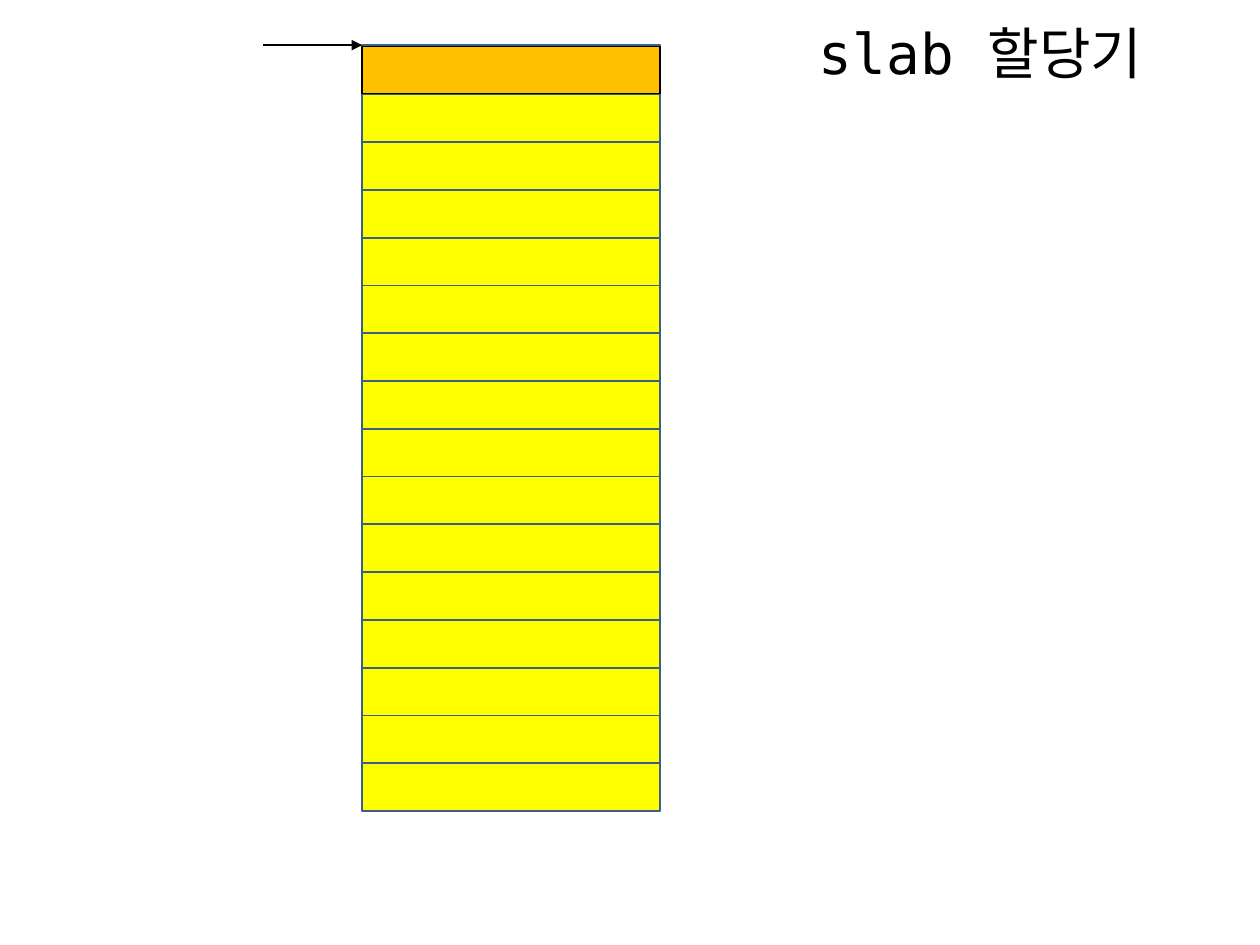
from pptx import Presentation
from pptx.dml.color import RGBColor
from pptx.enum.shapes import MSO_CONNECTOR as Connector, MSO_SHAPE as Shape
from pptx.enum.text import MSO_AUTO_SIZE as AutoSize
from pptx.oxml.ns import qn
from pptx.util import Cm, Pt
from lxml.etree import SubElement

# Content
TITLE = "slab 할당기"
FONT = "DejaVu Sans Mono"
HEADER = ("FFC000", "000000")  # fill, line
OBJECT = ("FFFF00", "3A5F8C")
SLOTS = [HEADER] + [OBJECT] * 15

# Layout in centimetres
SLAB_LEFT, SLAB_WIDTH = 7.3, 6.0
SLAB_TOP, SLAB_BOTTOM = 0.94, 16.35
BACKING_TOP, BACKING_HEIGHT = 0.91, 13.8
POINTER_LEFT = 5.3
SLOT_HEIGHT = (SLAB_BOTTOM - SLAB_TOP) / len(SLOTS)

deck = Presentation()
deck.slide_width, deck.slide_height = Cm(25.4), Cm(19.05)
slide = deck.slides.add_slide(deck.slide_layouts[6])


def rgb(code):
    return RGBColor.from_string(code)


def add_block(top, height, colors):
    block = slide.shapes.add_shape(
        Shape.RECTANGLE, Cm(SLAB_LEFT), Cm(top), Cm(SLAB_WIDTH), Cm(height))
    fill, line = colors
    block.shadow.inherit = False
    block.fill.solid()
    block.fill.fore_color.rgb = rgb(fill)
    block.line.color.rgb = rgb(line)
    block.line.width = Pt(1)


# Slab: backing block, then its slots from top to bottom
add_block(BACKING_TOP, BACKING_HEIGHT, OBJECT)
for index, colors in enumerate(SLOTS):
    add_block(SLAB_TOP + index * SLOT_HEIGHT, SLOT_HEIGHT, colors)

# Pointer to the start of the slab
pointer = slide.shapes.add_connector(
    Connector.STRAIGHT, Cm(POINTER_LEFT), Cm(BACKING_TOP),
    Cm(SLAB_LEFT), Cm(BACKING_TOP))
pointer.line.color.rgb = rgb("000000")
pointer.line.width = Pt(1.5)
SubElement(pointer.line._get_or_add_ln(), qn("a:tailEnd"), type="triangle")
SubElement(pointer._element.spPr, qn("a:effectLst"))

# Title
title = slide.shapes.add_textbox(Cm(16.26), Cm(0.25), Cm(7.7), Cm(1.62))
title.text_frame.word_wrap = False
title.text_frame.auto_size = AutoSize.SHAPE_TO_FIT_TEXT
heading = title.text_frame.paragraphs[0]
heading.text = TITLE
heading.font.size = Pt(32)
heading.font.name = FONT
heading.font.color.rgb = rgb("000000")
SubElement(heading.font._element, qn("a:ea"), typeface=FONT)

deck.save("out.pptx")
